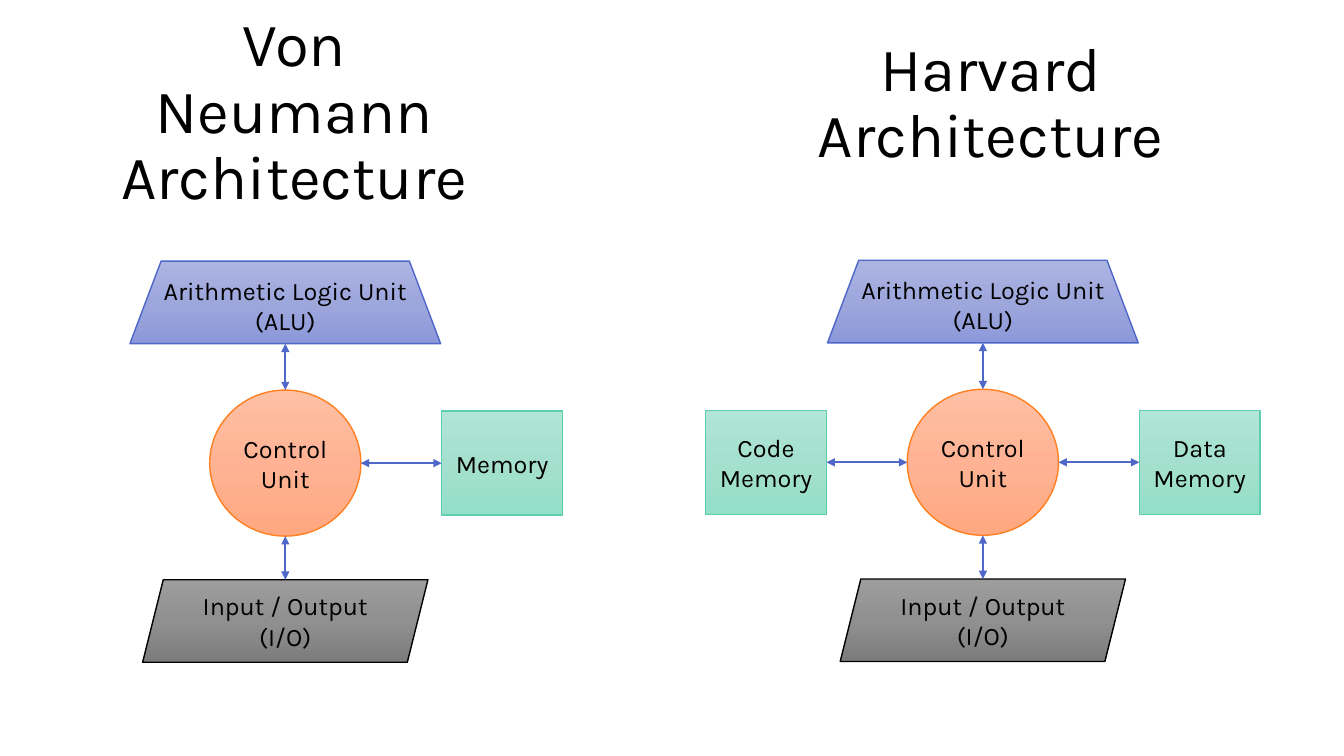
from copy import deepcopy

from pptx import Presentation
from pptx.dml.color import RGBColor
from pptx.enum import shapes, text
from pptx.oxml.ns import qn
from pptx.util import Cm, Pt
from lxml import etree

BLACK = RGBColor(0x00, 0x00, 0x00)
BLUE = RGBColor(0x4E, 0x67, 0xC8)
ORANGE = RGBColor(0xFF, 0x80, 0x21)
GREEN = RGBColor(0x5D, 0xCE, 0xAF)
BLUES = [RGBColor(0xAC, 0xB4, 0xE2), RGBColor(0x9E, 0xA7, 0xDC), RGBColor(0x8C, 0x98, 0xDA)]
ORANGES = [RGBColor(0xFF, 0xBF, 0xA3), RGBColor(0xFF, 0xB3, 0x94), RGBColor(0xFF, 0xA8, 0x81)]
GREENS = [RGBColor(0xB1, 0xE5, 0xD5), RGBColor(0xA4, 0xE0, 0xCD), RGBColor(0x93, 0xDF, 0xC7)]
GREYS = [RGBColor(0x9D, 0x9D, 0x9D), RGBColor(0x90, 0x90, 0x90), RGBColor(0x7C, 0x7C, 0x7C)]

ALU_WIDTH, ALU_HEIGHT = 7.83, 2.08
CONTROL_WIDTH, CONTROL_HEIGHT = 3.81, 3.68
IO_WIDTH, IO_HEIGHT = 7.19, 2.08
MEMORY_WIDTH, MEMORY_HEIGHT = 3.05, 2.62
CONTROL_DROP, IO_DROP = 3.25, 8.03   # below the top of the ALU
MEMORY_REACH = 3.94                  # from the centre line to the memory's near side

deck = Presentation()
deck.slide_width, deck.slide_height = Cm(33.87), Cm(19.05)
page = deck.slides.add_slide(deck.slide_layouts[5])


def write(box, wording, size):
    frame = box.text_frame
    frame.word_wrap = True
    frame.auto_size = text.MSO_AUTO_SIZE.NONE
    frame.vertical_anchor = text.MSO_ANCHOR.MIDDLE
    para = frame.paragraphs[0]
    para.text = wording
    para.alignment = text.PP_ALIGN.CENTER
    para.font.name, para.font.size = "Karla", Pt(size)
    para.font.color.rgb = BLACK
    return para


def add_unit(kind, center, top, width, height, wording, shades, outline):
    """Add a labelled block with a three-stop vertical gradient."""
    unit = page.shapes.add_shape(kind, Cm(center - width / 2), Cm(top), Cm(width), Cm(height))
    unit.shadow.inherit = False
    unit.fill.gradient()
    unit.fill.gradient_angle = 270
    first_stop = unit._element.spPr.find(".//" + qn("a:gs"))
    first_stop.addnext(deepcopy(first_stop))
    for stop, shade, position in zip(unit.fill.gradient_stops, shades, (0, 0.5, 1)):
        stop.color.rgb = shade
        stop.position = position
    unit.line.color.rgb = outline
    unit.line.width = Pt(1)
    write(unit, wording, 18)
    return unit


von_neumann_title = page.shapes.title
von_neumann_title.left, von_neumann_title.top = Cm(2.34), Cm(1.02)
von_neumann_title.width, von_neumann_title.height = Cm(10.16), Cm(3.68)
harvard_title = page.shapes.add_textbox(Cm(19.89), Cm(0.79), Cm(10.16), Cm(3.68))
for box, wording in ((von_neumann_title, "Von Neumann\nArchitecture"),
                     (harvard_title, "Harvard\nArchitecture")):
    write(box, wording, 44).line_spacing = 0.9

# Centre line, top, and memories as (side, label): 1 is right, -1 is left
architectures = [
    (7.19, 6.58, [(1, "Memory")]),
    (24.77, 6.56, [(1, "Data\nMemory"), (-1, "Code\nMemory")]),
]
arrows = []
for center, top, memories in architectures:
    control_top = top + CONTROL_DROP
    control_bottom = control_top + CONTROL_HEIGHT
    middle = control_top + CONTROL_HEIGHT / 2
    io_top = top + IO_DROP

    alu = add_unit(shapes.MSO_SHAPE.TRAPEZOID, center, top, ALU_WIDTH, ALU_HEIGHT,
                   "Arithmetic Logic Unit\n(ALU)", BLUES, BLUE)
    alu.adjustments[0] = 0.378
    add_unit(shapes.MSO_SHAPE.OVAL, center, control_top, CONTROL_WIDTH, CONTROL_HEIGHT,
             "Control\nUnit", ORANGES, ORANGE)
    add_unit(shapes.MSO_SHAPE.PARALLELOGRAM, center, io_top, IO_WIDTH, IO_HEIGHT,
             "Input / Output\n(I/O)", GREYS, BLACK)

    for start, end in ((top + ALU_HEIGHT, control_top), (control_bottom, io_top)):
        arrows.append(page.shapes.add_connector(
            shapes.MSO_CONNECTOR.STRAIGHT, Cm(center), Cm(start), Cm(center), Cm(end)))

    for side, label in memories:
        memory = add_unit(shapes.MSO_SHAPE.RECTANGLE,
                          center + side * (MEMORY_REACH + MEMORY_WIDTH / 2),
                          middle - MEMORY_HEIGHT / 2, MEMORY_WIDTH, MEMORY_HEIGHT,
                          label, GREENS, GREEN)
        arrow = page.shapes.add_connector(
            shapes.MSO_CONNECTOR.STRAIGHT, Cm(center + side * CONTROL_WIDTH / 2), Cm(middle),
            Cm(center + side * MEMORY_REACH), Cm(middle))
        arrow.end_connect(memory, 1 if side > 0 else 3)
        arrows.append(arrow)

for arrow in arrows:
    arrow.line.color.rgb = BLUE
    arrow.line.width = Pt(1.5)
    properties = arrow._element.spPr
    outline = properties.find(qn("a:ln"))
    for tip in ("a:headEnd", "a:tailEnd"):
        etree.SubElement(outline, qn(tip), type="triangle")
    etree.SubElement(properties, qn("a:effectLst"))

deck.save("out.pptx")
